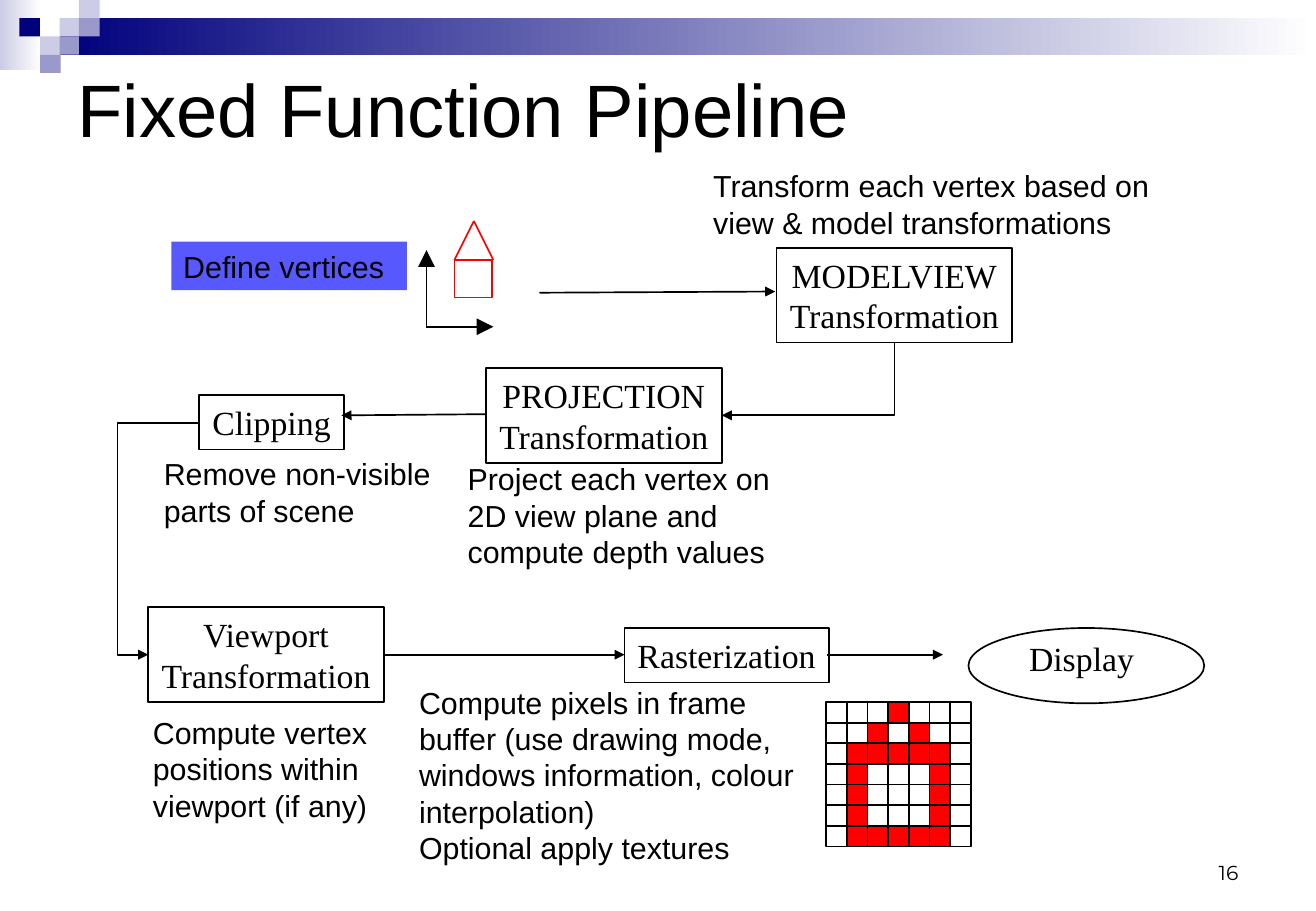
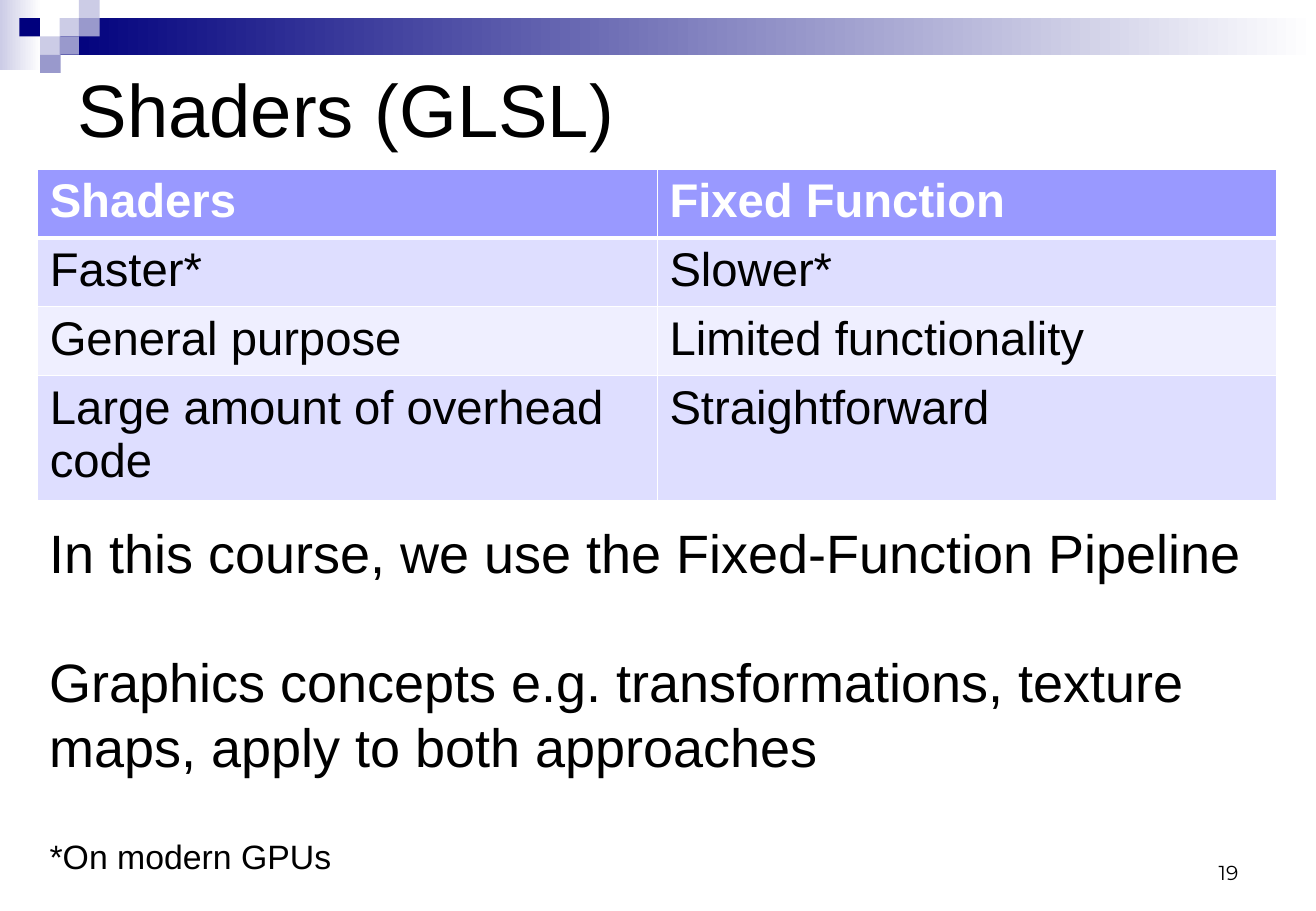
from dataclasses import dataclass

from lxml.etree import SubElement
from pptx import Presentation
from pptx.dml.color import RGBColor
from pptx.enum.shapes import MSO_CONNECTOR as Wire, MSO_SHAPE as Kind
from pptx.enum.text import MSO_ANCHOR as Anchor, PP_ALIGN as Align
from pptx.oxml.ns import qn
from pptx.util import Inches, Pt


@dataclass(frozen=True)
class Theme:
    sans: str = "Arial"
    serif: str = "Times New Roman"
    number_font: str = "Montserrat"
    black: str = "000000"
    white: str = "FFFFFF"
    navy: str = "00007D"
    lilac: str = "CCCCE6"
    violet: str = "9999CC"
    label_blue: str = "5858FF"
    red: str = "FF0001"
    table_head: str = "9999FF"
    table_bands: tuple = ("DEDEFF", "EFEFFF")
    title: int = 44
    statement: int = 32
    table: int = 28
    stage: int = 20
    note: int = 18
    number: int = 12


THEME = Theme()

BANDS = [
    ((0, 0, 0.34, 0.58), THEME.lilac),
    ((0.49, 0.15, 10.34, 0.3), THEME.navy),
]
MOSAIC = [
    ((0.49, 0.15, 0.16, 0.15), THEME.lilac),
    ((0.65, 0, 0.17, 0.15), THEME.lilac),
    ((0.65, 0.15, 0.17, 0.15), THEME.violet),
    ((0.33, 0.3, 0.17, 0.15), THEME.lilac),
    ((0.16, 0.15, 0.17, 0.15), THEME.navy),
    ((0.49, 0.3, 0.16, 0.15), THEME.violet),
    ((0.33, 0.45, 0.17, 0.15), THEME.violet),
]
STAGES = [
    ((6.39, 2.04, 1.94, 0.78), ["MODELVIEW", "Transformation"]),
    ((4, 3.03, 1.94, 0.78), ["PROJECTION", "Transformation"]),
    ((1.22, 5, 1.94, 0.78), ["Viewport", "Transformation"]),
    ((1.64, 3.25, 1.19, 0.45), ["Clipping"]),
    ((5.14, 5.17, 1.68, 0.45), ["Rasterization"]),
]
NOTES = [
    ((3.35, 5.58, 3.51, 1.61), [
        "Compute pixels in frame buffer (use drawing mode, windows information, "
        "colour interpolation)",
        "Optional apply textures",
    ]),
    ((5.77, 1.33, 4.01, 0.71),
     ["Transform each vertex based on view & model transformations"]),
    ((3.75, 3.74, 3.02, 1.01),
     ["Project each vertex on 2D view plane and compute depth values"]),
    ((1.25, 3.7, 2.53, 0.71), ["Remove non-visible parts of scene"]),
    ((1.16, 5.83, 2.53, 1.01),
     ["Compute vertex positions within viewport (if any)"]),
]
FLOW_ARROWS = [
    ((4.44, 2.41), (6.38, 2.4)),
    ((3.99, 3.41), (2.81, 3.42)),
    ((3.16, 5.39), (5.14, 5.39)),
    ((6.81, 5.39), (7.76, 5.39)),
]
AXIS_ORIGIN = (3.51, 2.69)
AXIS_TIPS = [(4.06, 2.69), (3.51, 2.06)]
ROOF_TOP = (3.9, 1.82)
EAVES = [(3.74, 2.14), (4.06, 2.14)]
PIXELS = [
    "...#...",
    "..#.#..",
    ".#####.",
    ".#...#.",
    ".#...#.",
    ".#...#.",
    ".#####.",
]
PIXEL_CORNER = (6.8, 5.78)
PIXEL_SIZE = 0.17

COMPARISON = [
    ("Shaders", "Fixed Function"),
    ("Faster*", "Slower*"),
    ("General purpose", "Limited functionality"),
    ("Large amount of overhead code", "Straightforward"),
]
ROW_HEIGHT = 0.41
STATEMENTS = [
    "In this course, we use the Fixed-Function Pipeline",
    "Graphics concepts e.g. transformations, texture maps, apply to both approaches",
]


def rgb(colour):
    return RGBColor.from_string(colour)


def inches(values):
    return [Inches(value) for value in values]


def write(frame, lines, size=THEME.note, font=THEME.sans, colour=THEME.black,
          bold=False, align=Align.LEFT, gap=0):
    """Fill a text frame with one paragraph a line, gap points apart."""
    for index, line in enumerate(lines):
        para = frame.add_paragraph() if index else frame.paragraphs[0]
        para.alignment = align
        para.space_before = Pt(gap if index else 0)
        span = para.add_run()
        span.text = line
        span.font.size = Pt(size)
        span.font.name = font
        span.font.bold = bold
        span.font.color.rgb = rgb(colour)


def add_text(page, at, lines, anchor=Anchor.TOP, **style):
    frame = page.shapes.add_textbox(*inches(at)).text_frame
    frame.word_wrap = True
    frame.vertical_anchor = anchor
    write(frame, lines, **style)


def add_box(page, at, kind=Kind.RECTANGLE, fill=None, line=None):
    box = page.shapes.add_shape(kind, *inches(at))
    box.shadow.inherit = False
    if fill:
        box.fill.solid()
        box.fill.fore_color.rgb = rgb(fill)
    else:
        box.fill.background()
    if line:
        box.line.color.rgb = rgb(line)
        box.line.width = Pt(1)
    else:
        box.line.fill.background()
    return box


def add_line(page, start, end, colour=THEME.black, arrow="tailEnd",
             arrow_size="med", bend=None, adjust=None):
    """Draw a connector; arrow is the end that carries a triangle, or None."""
    wire = page.shapes.add_connector(
        Wire.ELBOW if bend else Wire.STRAIGHT, *inches(start + end))
    wire.line.color.rgb = rgb(colour)
    wire.line.width = Pt(1)
    properties = wire._element.spPr
    if arrow:
        SubElement(properties.find(qn("a:ln")), qn("a:" + arrow),
                   type="triangle", w=arrow_size, len=arrow_size)
    SubElement(properties, qn("a:effectLst"))
    if bend:
        geometry = properties.find(qn("a:prstGeom"))
        geometry.set("prst", bend)
        if adjust is not None:
            SubElement(geometry.find(qn("a:avLst")), qn("a:gd"), name="adj1",
                       fmla=f"val {round(adjust * 100000)}")


def add_page(deck, title, number):
    """Add a slide with the shared band, mosaic, title and number."""
    page = deck.slides.add_slide(deck.slide_layouts[6])
    for at, colour in BANDS:
        fill = add_box(page, at).fill
        fill.gradient()
        fill.gradient_angle = 0
        for stop, tone, position in zip(
                fill.gradient_stops, (colour, THEME.white), (0, 1)):
            stop.color.rgb = rgb(tone)
            stop.position = position
    for at, colour in MOSAIC:
        add_box(page, at, fill=colour)
    add_text(page, (0.54, 0.5, 9.75, 0.78), [title], anchor=Anchor.MIDDLE,
             size=THEME.title)
    add_text(page, (7.76, 6.83, 2.53, 0.5), [number], anchor=Anchor.BOTTOM,
             size=THEME.number, font=THEME.number_font, align=Align.RIGHT)
    return page


def add_house(page):
    for tip in AXIS_TIPS:
        add_line(page, AXIS_ORIGIN, tip, arrow_size="lg")
    add_box(page, EAVES[0] + (0.31, 0.31), line=THEME.red)
    for eave in EAVES:
        add_line(page, eave, ROOF_TOP, colour=THEME.red, arrow=None)


def add_pixels(page):
    left, top = PIXEL_CORNER
    for row, marks in enumerate(PIXELS):
        for column, mark in enumerate(marks):
            at = (left + column * PIXEL_SIZE, top + row * PIXEL_SIZE,
                  PIXEL_SIZE, PIXEL_SIZE)
            add_box(page, at, fill=THEME.red if mark == "#" else None,
                    line=THEME.black)


def build_pipeline(deck):
    page = add_page(deck, "Fixed Function Pipeline", "16")
    for at, lines in STAGES:
        frame = add_box(page, at, line=THEME.black).text_frame
        frame.word_wrap = False
        frame.vertical_anchor = Anchor.MIDDLE
        write(frame, lines, size=THEME.stage, font=THEME.serif, align=Align.CENTER)
    add_box(page, (7.97, 5.17, 1.94, 0.62), kind=Kind.OVAL, line=THEME.black)
    add_text(page, (8.37, 5.2, 1.3, 0.43), ["Display"], anchor=Anchor.MIDDLE,
             size=THEME.stage, font=THEME.serif)
    for start, end in FLOW_ARROWS:
        add_line(page, start, end)
    add_line(page, (1.64, 3.48), (1.22, 5.39), bend="bentConnector3", adjust=1.6)
    add_line(page, (5.94, 3.42), (7.36, 2.82), bend="bentConnector2",
             arrow="headEnd")
    label = add_box(page, (1.41, 1.99, 1.94, 0.4), fill=THEME.label_blue)
    label.text_frame.word_wrap = False
    write(label.text_frame, ["Define vertices"])
    add_house(page)
    add_pixels(page)
    for at, lines in NOTES:
        add_text(page, at, lines)


def style_cell(cell, fill, top, bottom):
    """Give a cell a fill and white borders, top and bottom in points."""
    properties = cell._tc.get_or_add_tcPr()
    for side, width in (("L", 1), ("R", 1), ("T", top), ("B", bottom)):
        border = SubElement(properties, qn("a:ln" + side), w=str(Pt(width)))
        paint = SubElement(border, qn("a:solidFill"))
        SubElement(paint, qn("a:srgbClr"), val=THEME.white)
    cell.fill.solid()
    cell.fill.fore_color.rgb = rgb(fill)


def add_comparison(page):
    at = (0.31, 1.39, 10.2, ROW_HEIGHT * len(COMPARISON))
    table = page.shapes.add_table(
        len(COMPARISON), len(COMPARISON[0]), *inches(at)).table
    for index, texts in enumerate(COMPARISON):
        head = index == 0
        fill = THEME.table_head if head else THEME.table_bands[(index - 1) % 2]
        for column, text in enumerate(texts):
            cell = table.cell(index, column)
            style_cell(cell, fill, top=3 if index == 1 else 1,
                       bottom=3 if head else 1)
            write(cell.text_frame, [text], size=THEME.table, bold=head,
                  colour=THEME.white if head else THEME.black)


def build_shaders(deck):
    page = add_page(deck, "Shaders (GLSL)", "19")
    add_comparison(page)
    add_text(page, (0.31, 4.23, 10.21, 2.26), STATEMENTS,
             size=THEME.statement, gap=38)
    add_text(page, (0.31, 6.83, 2.99, 0.44), ["*On modern GPUs"], size=THEME.stage)


def main():
    deck = Presentation()
    deck.slide_width, deck.slide_height = inches((10.83, 7.5))
    build_pipeline(deck)
    build_shaders(deck)
    deck.save("out.pptx")


if __name__ == "__main__":
    main()
